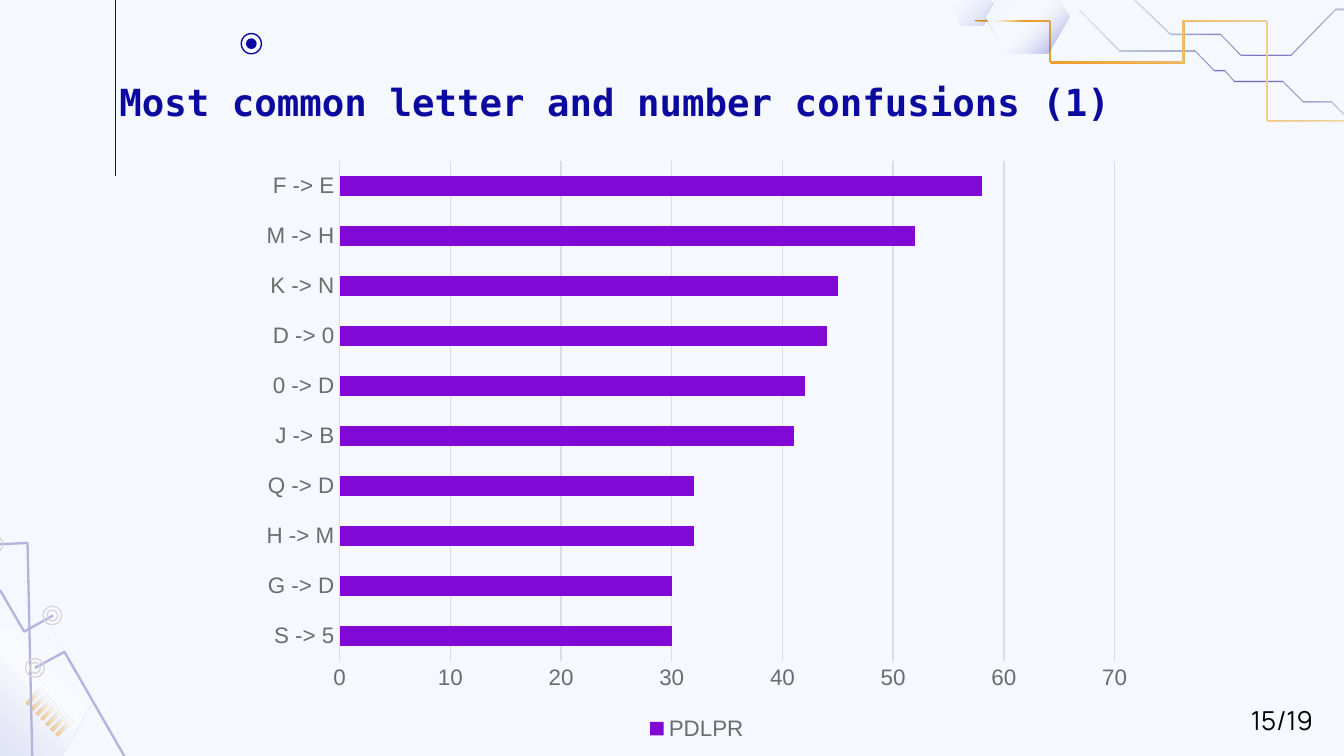
from lxml.etree import SubElement as Sub
from pptx import Presentation
from pptx.chart.data import CategoryChartData as Data
from pptx.dml.color import RGBColor as Rgb
from pptx.enum.chart import XL_CHART_TYPE as Kind, XL_LEGEND_POSITION as Spot
from pptx.enum.chart import XL_TICK_MARK as Tick
from pptx.enum.shapes import MSO_CONNECTOR as Wire, MSO_SHAPE as Form
from pptx.oxml.ns import qn
from pptx.util import Inches, Pt

HEX = {"back": "F5F8FF", "navy": "0C0A9E", "gold": "EB9109", "sand": "F5DDB8",
       "white": "FFFFFF", "black": "000000", "bar": "8208D5", "grid": "DDDDDD",
       "label": "6C6C6C", "mist": "C4C6EA", "haze": "B4B3E0", "ring": "D9D5D8"}
COLS, ROWS = 100, 56.25


class Deck:
    """Lengths are cells of a grid, COLS wide and ROWS high."""
    cell = Inches(0.1)

    def __init__(self):
        self.prs = Presentation()
        self.prs.slide_width, self.prs.slide_height = self.size(COLS, ROWS)
        self.slide = self.prs.slides.add_slide(self.prs.slide_layouts[6])
        fill = self.slide.background.fill
        fill.solid()
        fill.fore_color.rgb = self.rgb("back")
        self.shapes = self.slide.shapes

    def size(self, *cells):
        return [round(c * self.cell) for c in cells]

    def rgb(self, name):
        return Rgb.from_string(HEX[name])

    def paint(self, shape, fill=None, line=None, width=0.75):
        shape.shadow.inherit = False
        if fill:
            shape.fill.solid()
            shape.fill.fore_color.rgb = self.rgb(fill)
        else:
            shape.fill.background()
        if line:
            shape.line.color.rgb = self.rgb(line)
            shape.line.width = Pt(width)
        else:
            shape.line.fill.background()

    def blend(self, shape, stops, angle):
        """Each stop is (place, colour, alpha)."""
        self.paint(shape)
        shape.fill.gradient()
        shape.fill.gradient_angle = -angle % 360
        row = shape._element.spPr.find(qn("a:gradFill")).find(qn("a:gsLst"))
        for old in list(row):
            row.remove(old)
        for place, name, alpha in stops:
            stop = Sub(row, qn("a:gs"), pos=str(place * 1000))
            tint = Sub(stop, qn("a:srgbClr"), val=HEX[name])
            Sub(tint, qn("a:alpha"), val=str(alpha * 1000))

    def outline(self, points, close=True):
        first, *rest = [self.size(*p) for p in points]
        pen = self.shapes.build_freeform(*first, scale=1.0)
        pen.add_line_segments(rest, close=close)
        return pen.convert_to_shape()

    def band(self, points, shift, stops, angle=0):
        dx, dy = shift
        back = [(min(x + dx, COLS), y + dy) for x, y in reversed(points)]
        self.blend(self.outline(points + back), stops, angle)

    def trace(self, points, line, width):
        self.paint(self.outline(points, close=False), line=line, width=width)

    def disc(self, x, y, r, fill=None, line=None):
        box = self.size(x - r, y - r, 2 * r, 2 * r)
        self.paint(self.shapes.add_shape(Form.OVAL, *box), fill, line)

    def rule(self, start, end, color):
        line = self.shapes.add_connector(Wire.STRAIGHT, *self.size(*start, *end))
        line.line.fill.solid()
        line.line.fill.fore_color.rgb = self.rgb(color)
        line.line.width = Pt(0.75)
        Sub(line._element.spPr, qn("a:effectLst"))

    def font(self, font, face, size, color, bold=False):
        font.name, font.size, font.bold = face, Pt(size), bold
        font.color.rgb = self.rgb(color)

    def text(self, box, words, *style):
        frame = self.shapes.add_textbox(*self.size(*box)).text_frame
        frame.word_wrap = True
        frame.margin_left = frame.margin_right = self.cell
        frame.margin_top = frame.margin_bottom = self.cell
        frame.text = words
        self.font(frame.paragraphs[0].runs[0].font, *style)

    def bars(self, box, name, pairs):
        data = Data()
        data.categories = [label for label, _ in pairs]
        data.add_series(name, [value for _, value in pairs])
        chart = self.shapes.add_chart(Kind.BAR_STACKED, *self.size(*box), data).chart
        style = "Arial", 12, "label"
        self.font(chart.font, *style)
        chart.has_title = False
        chart.has_legend = True
        chart.legend.position = Spot.BOTTOM
        chart.legend.include_in_layout = False
        self.font(chart.legend.font, *style)
        plot = chart.plots[0]
        plot.gap_width, plot.overlap, plot.vary_by_categories = 150, 100, False
        fill = plot.series[0].format.fill
        fill.solid()
        fill.fore_color.rgb = self.rgb("bar")
        cats, vals = chart.category_axis, chart.value_axis
        for axis in cats, vals:
            axis.major_tick_mark = axis.minor_tick_mark = Tick.NONE
            self.font(axis.tick_labels.font, *style)
        vals.minimum_scale, vals.maximum_scale, vals.major_unit = 0, 70, 10
        vals.format.line.fill.background()
        for line in cats.format.line, vals.major_gridlines.format.line:
            line.color.rgb = self.rgb("grid")
            line.width = Pt(0.75)


deck = Deck()

# Circuit in the lower left corner
deck.blend(deck.outline([(0, 46.8), (3.8, 46.8), (6.9, 52.2), (4.6, ROWS), (0, ROWS)]),
           [(0, "mist", 40), (50, "white", 60), (100, "back", 0)], 315)
for i in range(7):
    x, y = 3 + 0.38 * i, 51.2 + 0.38 * i
    pin = deck.outline([(x, y), (x - 1.1, y + 1.1), (x - 0.9, y + 1.3), (x + 0.2, y + 0.2)])
    deck.blend(pin, [(0, "gold", 47), (78, "back", 47), (100, "back", 47)], 0)
for points in ([(0, 43.9), (1.8, 47), (3.95, 45.8)],
               [(0, 40.5), (2.05, 40.4), (2.4, ROWS)],
               [(2.6, 49.7), (4.8, 48.5), (9.25, ROWS)]):
    deck.trace(points, "haze", 1.25)
for x, y in (3.9, 45.8), (2.6, 49.7):
    for r in 0.7, 0.4:
        deck.disc(x, y, r, line="ring")
deck.trace([(0, 40), (0.2, 40.3), (0.2, 40.7), (0, 41)], "ring", 0.75)

# Circuit in the upper right corner
fade = [(0, "back", 100), (60, "navy", 60), (100, "mist", 100)]
deck.band([(84.4, 0), (87.1, 2.5), (90.8, 2.5), (92.3, 4), (96, 4), (99.3, 0.7),
           (COLS, 0.7)], (0, 0.09), fade)
deck.band([(80.3, 0.7), (83.3, 3.75), (88.9, 3.75), (90.3, 5.2), (91.1, 5.2),
           (91.8, 6), (95.4, 6), (96.9, 7.5), (99, 7.5), (COLS, 8.5)], (0, 0.09), fade)
deck.band([(72.5, 1.5), (78.1, 1.5), (78.1, 4.6), (88, 4.6), (88, 1.5), (94.2, 1.5),
           (94.2, 9), (COLS, 9)], (0.1, 0.1), [(0, "gold", 100), (100, "sand", 100)])
deck.blend(deck.outline([(71.1, 0), (70.8, 0.5), (71.5, 1.9), (73.1, 1.9), (73.9, 0.5),
                         (73.6, 0)]), [(0, "white", 0), (100, "navy", 20)], 45)
deck.blend(deck.outline([(74.1, 0), (73.3, 1.3), (74.9, 4), (78, 4), (79.6, 1.3),
                         (78.8, 0)]),
           [(0, "back", 100), (22, "back", 100), (45, "white", 0), (100, "navy", 50)], 45)

# Title with its marker and rule
deck.disc(18.7, 3.25, 0.75, line="navy")
deck.disc(18.7, 3.25, 0.4, fill="navy")
deck.rule((8.58, 0), (8.58, 13.1), "navy")
deck.text((7.9, 4.9, 84.3, 6.3), "Most common letter and number confusions (1)",
          "DejaVu Sans Mono", 20, "navy", True)

# Chart and page number
deck.bars((18.5, 11.1, 66.7, 44.4), "PDLPR", [
    ("S -> 5", 30), ("G -> D", 30), ("H -> M", 32), ("Q -> D", 32), ("J -> B", 41),
    ("0 -> D", 42), ("D -> 0", 44), ("K -> N", 45), ("M -> H", 52), ("F -> E", 58)])
deck.text((92.1, 51.4, 6.6, 3.4), "15/19", "Manrope", 14, "black")

deck.prs.save("out.pptx")
